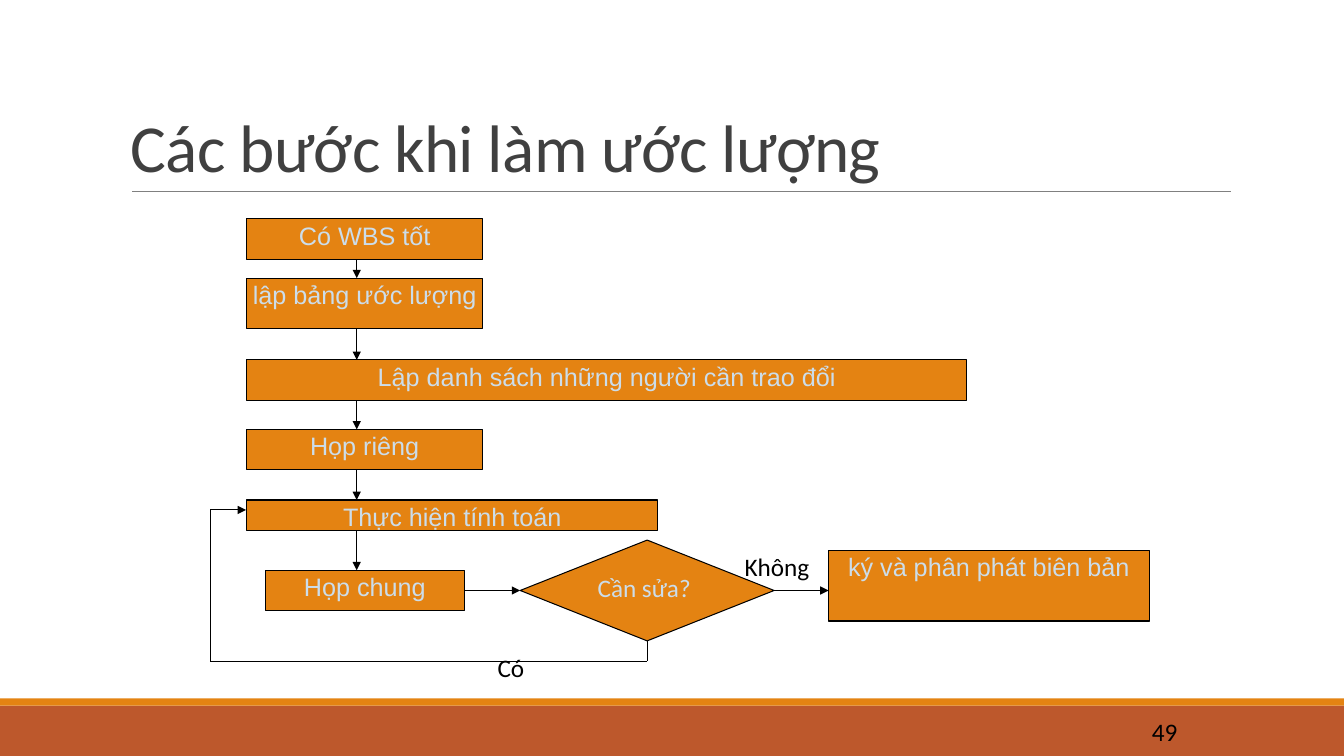
from itertools import pairwise
from lxml.etree import SubElement
from pptx import Presentation
from pptx.dml.color import RGBColor
from pptx.enum.shapes import MSO_CONNECTOR, MSO_SHAPE
from pptx.enum.text import MSO_ANCHOR, PP_ALIGN
from pptx.oxml.ns import qn
from pptx.util import Cm, Pt

BLACK = RGBColor(0, 0, 0)
WHITE = RGBColor(255, 255, 255)
ORANGE = RGBColor(0xE4, 0x83, 0x12)
RUST = RGBColor(0xBD, 0x58, 0x2C)
GREY = RGBColor(0x80, 0x80, 0x80)
DARK = RGBColor(0x40, 0x40, 0x40)
PALE = RGBColor(0xCC, 0xDD, 0xEA)

WIDE, HIGH = 33.87, 19.05
TITLE = "Các bước khi làm ước lượng"
NUMBER = "49"
STEPS = [
    ("Có WBS tốt", 6.22, 5.51, 5.94, 1.02),
    ("lập bảng ước lượng", 6.22, 7.01, 5.94, 1.27),
    ("Lập danh sách những người cần trao đổi", 6.22, 9.07, 18.14, 1.02),
    ("Họp riêng", 6.22, 10.82, 5.94, 1.02),
    ("Thực hiện tính toán", 6.22, 12.6, 10.36, 0.76),
    ("Họp chung", 6.68, 14.37, 5.03, 1.02),
]
FINAL = ("ký và phân phát biên bản", 20.88, 13.87, 8.08, 1.78)
CHECK = (13.11, 13.61, 6.4, 2.54)
LABELS = [
    ("Cần sửa?", PALE, 14.33, 14.38, 3.81, 1.02),
    ("Không", BLACK, 18.59, 13.87, 1.98, 0.58),
    ("Có", BLACK, 12.19, 16.41, 1.37, 0.58),
]
BANDS = [(RUST, 17.78, 1.27), (ORANGE, 17.6, 0.18)]
FLOW = 8.99
LOOP = [(16.31, 16.15), (16.31, 16.66), (5.3, 16.66), (5.3, 12.85), (6.2, 12.85)]
TIGHT = dict(margin_left=Cm(0.05), margin_right=Cm(0.05),
             margin_top=Cm(0.03), margin_bottom=Cm(0.03))

deck = Presentation()
deck.slide_width, deck.slide_height = Cm(WIDE), Cm(HIGH)
slide = deck.slides.add_slide(deck.slide_layouts[6])
slide.background.fill.solid()
slide.background.fill.fore_color.rgb = WHITE


def apply(item, form):
    for key, value in form.items():
        setattr(item, key, value)


def write(shape, text, font, color, size=18, align=PP_ALIGN.CENTER, **form):
    frame = shape.text_frame
    apply(frame, dict(word_wrap=True, vertical_anchor=MSO_ANCHOR.TOP) | form)
    para = frame.paragraphs[0]
    para.alignment = align
    run = para.add_run()
    run.text = text
    apply(run.font, dict(name=font, size=Pt(size)))
    run.font.color.rgb = color
    return para


def draw(kind, place, fill, edge=None):
    shape = slide.shapes.add_shape(kind, *map(Cm, place))
    shape.shadow.inherit = False
    shape.fill.solid()
    shape.fill.fore_color.rgb = fill
    if edge is None:
        shape.line.fill.background()
    else:
        shape.line.color.rgb = edge
        shape.line.width = Pt(0.75)
    return shape


def step(text, *place):
    shape = draw(MSO_SHAPE.RECTANGLE, place, ORANGE, BLACK)
    write(shape, text, "Arial", PALE, **TIGHT)
    return shape


def link(start, end, arrow=True, color=BLACK, width=0.75):
    line = slide.shapes.add_connector(MSO_CONNECTOR.STRAIGHT, *map(Cm, start + end))
    line.line.color.rgb = color
    line.line.width = Pt(width)
    if arrow:
        SubElement(line.line._get_or_add_ln(), qn("a:tailEnd"), type="triangle")
    SubElement(line._element.spPr, qn("a:effectLst"))
    return line


def box(*place):
    return slide.shapes.add_textbox(*map(Cm, place))


for color, top, height in BANDS:
    draw(MSO_SHAPE.RECTANGLE, (0, top, WIDE, height), color)
link((3.33, 4.83), (31.01, 4.83), False, GREY, 0.5)
write(box(27.51, 17.93, 3.63, 1.02), NUMBER, "Calibri", BLACK, align=PP_ALIGN.LEFT,
      vertical_anchor=MSO_ANCHOR.MIDDLE, margin_left=Cm(1.52))
head = write(box(3.05, 0.79, 27.94, 4.04), TITLE, "Calibri", DARK, 48, PP_ALIGN.LEFT,
             vertical_anchor=MSO_ANCHOR.BOTTOM)
head.line_spacing = 0.85
head.runs[0].font._element.set("spc", "-50")

boxes = [step(*item) for item in STEPS]
step(*FINAL)
check = draw(MSO_SHAPE.FLOWCHART_DECISION, CHECK, ORANGE, BLACK)

for (_, _, top, _, height), (_, _, below, _, _) in pairwise(STEPS):
    link((FLOW, top + height), (FLOW, below))
left, top, width, height = CHECK
middle = top + height / 2
join = link((11.71, middle), (left, middle))
join.begin_connect(boxes[-1], 3)
join.end_connect(check, 1)
link((left + width, middle), (FINAL[1], middle))
for start, end in pairwise(LOOP):
    link(start, end, end == LOOP[-1])

for text, color, *place in LABELS:
    write(box(*place), text, "Calibri", color, **TIGHT)

deck.save("out.pptx")
